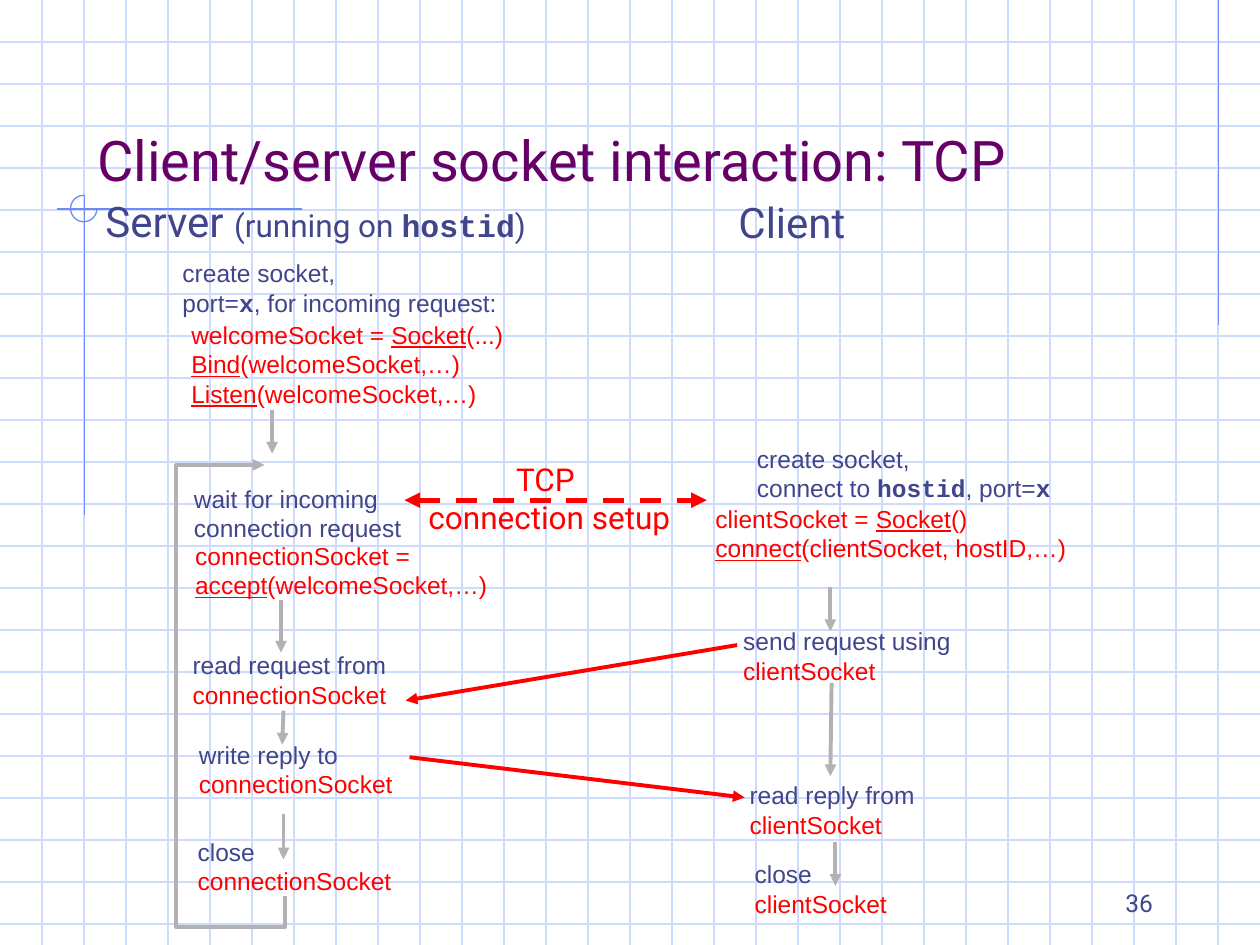
from pptx import Presentation
from pptx import util as u
from pptx.dml.color import RGBColor
from pptx.enum import dml, shapes, text
from pptx.oxml.ns import qn
from lxml import etree

COLORS = {"grid": "CFDBFD", "accent": "6F89F7", "title": "660066",
          "ink": "40458C", "red": "FF0000", "flow": "B2B2B2"}
LEFT, CENTER, RIGHT = text.PP_ALIGN.LEFT, text.PP_ALIGN.CENTER, text.PP_ALIGN.RIGHT
TOP, MIDDLE, BOTTOM = text.MSO_ANCHOR.TOP, text.MSO_ANCHOR.MIDDLE, text.MSO_ANCHOR.BOTTOM


def rgb(color):
    return RGBColor.from_string(COLORS[color])


class Diagram:
    body, heading, code = "Arial", "Roboto", "Courier New"

    def __init__(self, s):
        self.s = s

    def font(self, f, name, size, color):
        f.name, f.size = name, u.Pt(size)
        f.color.rgb = rgb(color)

    def place(self, sp, x, y, w, h):
        sp.left, sp.top, sp.width, sp.height = map(u.Inches, (x, y, w, h))

    def title(self, words, x, y, w, h):
        sp = self.s.shapes.title
        self.place(sp, x, y, w, h)
        sp.element.getparent().append(sp.element)
        tf = sp.text_frame
        tf.text = words
        tf.vertical_anchor = BOTTOM
        p = tf.paragraphs[0]
        p.alignment = LEFT
        self.font(p.font, self.heading, 32, "title")

    def text(self, x, y, w, h, lines, font=None, size=14, align=LEFT, anchor=MIDDLE, wrap=False):
        tf = self.s.shapes.add_textbox(*map(u.Inches, (x, y, w, h))).text_frame
        tf.word_wrap, tf.vertical_anchor = wrap, anchor
        tf.auto_size = text.MSO_AUTO_SIZE.NONE if wrap else text.MSO_AUTO_SIZE.SHAPE_TO_FIT_TEXT
        for i, (color, *runs) in enumerate(lines):
            p = tf.add_paragraph() if i else tf.paragraphs[0]
            p.alignment = align
            self.font(p.font, font or self.body, size, color)
            for run in runs:
                words, style, run_size = (run, "", None) if isinstance(run, str) else (*run, None)[:3]
                r = p.add_run()
                r.text = words
                if style == "call":
                    r.font.underline = True
                if style == "code":
                    r.font.name, r.font.bold = self.code, True
                if run_size:
                    r.font.size = u.Pt(run_size)

    def stroke(self, sp, color, width, head=False, tail=False, dash=False):
        sp.line.color.rgb = rgb(color)
        sp.line.width = u.Pt(width)
        if dash:
            sp.line.dash_style = dml.MSO_LINE.DASH
        ln = sp.line._get_or_add_ln()
        for tag, wanted in (("a:headEnd", head), ("a:tailEnd", tail)):
            if wanted:
                etree.SubElement(ln, qn(tag), type="triangle")

    def line(self, x1, y1, x2, y2, color, width=0.74, **ends):
        c = self.s.shapes.add_connector(shapes.MSO_CONNECTOR.STRAIGHT, *map(u.Inches, (x1, y1, x2, y2)))
        self.stroke(c, color, width, **ends)
        etree.SubElement(c.element.spPr, qn("a:effectLst"))

    def arrow(self, x1, y1, x2, y2, color="flow"):
        self.line(x1, y1, x2, y2, color, 2.24, tail=True)

    def path_arrow(self, points, color):
        start, *rest = [tuple(map(u.Inches, point)) for point in points]
        builder = self.s.shapes.build_freeform(*start)
        builder.add_line_segments(rest, close=False)
        sp = builder.convert_to_shape()
        sp.shadow.inherit = False
        sp.fill.background()
        self.stroke(sp, color, 2.24, tail=True)

    def arc(self, x, y, size):
        sp = self.s.shapes.add_shape(shapes.MSO_SHAPE.ARC, *map(u.Inches, (x, y, size, size)))
        sp.adjustments[0], sp.adjustments[1] = 0, 162
        sp.shadow.inherit = False
        sp.fill.background()
        self.stroke(sp, "accent", 0.74)


prs = Presentation()
prs.slide_width, prs.slide_height = u.Inches(10), u.Inches(7.5)
d = Diagram(prs.slides.add_slide(prs.slide_layouts[5]))

for i in range(1, 23):
    d.line(0, i / 3, 10, i / 3, "grid")
for i in range(1, 30):
    d.line(i / 3, 0, i / 3, 7.5, "grid")
for ends in ((9.67, 0, 9.67, 2.58), (0.45, 1.66, 2.4, 1.66), (0.67, 1.55, 0.67, 4.09)):
    d.line(*ends, "accent")
d.arc(0.56, 1.55, 0.21)

d.text(7.17, 6.83, 2.08, 0.5, [("ink", "36")], d.heading, align=RIGHT, anchor=BOTTOM, wrap=True)
d.title("Client/server socket interaction: TCP", 0.67, 0.33, 8.5, 1.25)
d.text(0.65, 1.5, 3.71, 0.5,
       [("ink", "Server ", ("(running on ", "", 18), ("hostid", "code", 18), (")", "", 18))],
       d.heading, 24, CENTER)
d.text(5.74, 1.51, 1.09, 0.5, [("ink", "Client")], d.heading, 24, CENTER)

d.text(1.35, 2, 2.9, 0.57, [("ink", "create socket,"),
                            ("ink", "port=", ("x", "code"), ", for incoming request:")], wrap=True)
d.text(1.42, 2.49, 2.9, 0.8, [("red", "welcomeSocket = ", ("Socket", "call"), "(...)"),
                              ("red", ("Bind", "call"), "(welcomeSocket,…)"),
                              ("red", ("Listen", "call"), "(welcomeSocket,…)")],
       anchor=TOP, wrap=True)
d.text(1.44, 3.79, 1.85, 0.57, [("ink", "wait for incoming"), ("ink", "connection request")])
d.text(1.45, 4.24, 2.52, 0.57, [("red", "connectionSocket = "),
                                ("red", ("accept", "call"), "(welcomeSocket,…)")])
d.text(5.91, 3.47, 2.53, 0.57, [("ink", "create socket,"),
                                ("ink", "connect to ", ("hostid", "code"), ", port=", ("x", "code"))])
d.text(5.58, 3.95, 3.2, 0.57, [("red", "clientSocket = ", ("Socket", "call"), "()"),
                               ("red", ("connect", "call"), "(clientSocket, hostID,…)")],
       anchor=TOP, wrap=True)

for x, y, w, action, socket in (
        (1.43, 5.11, 1.74, "read request from", "connectionSocket"),
        (1.48, 5.82, 1.74, "write reply to", "connectionSocket"),
        (1.47, 6.59, 1.74, "close", "connectionSocket"),
        (5.8, 4.92, 1.85, "send request using", "clientSocket"),
        (5.85, 6.14, 1.51, "read reply from", "clientSocket"),
        (5.89, 6.77, 1.25, "close", "clientSocket")):
    d.text(x, y, w, 0.57, [("ink", action), ("red", socket)])

for ends in ((2.16, 3.25, 2.16, 3.6), (2.23, 4.76, 2.23, 5.18), (2.25, 5.64, 2.24, 5.91),
             (2.25, 6.46, 2.25, 6.82), (6.59, 4.66, 6.59, 5.01), (6.6, 5.42, 6.59, 6.16),
             (6.63, 6.68, 6.63, 7.03)):
    d.arrow(*ends)
d.path_arrow([(2.26, 7.11), (2.26, 7.36), (1.4, 7.36), (1.4, 3.69), (2.1, 3.69)], "flow")
d.arrow(5.85, 5.12, 3.22, 5.56, "red")
d.arrow(3.25, 6.01, 5.91, 6.33, "red")
d.line(3.21, 3.97, 5.61, 3.97, "red", 3, head=True, tail=True, dash=True)
d.text(3.25, 3.6, 2.22, 0.7, [("red", "TCP "), ("red", "connection setup")], d.heading, 18, CENTER)

prs.save("out.pptx")
